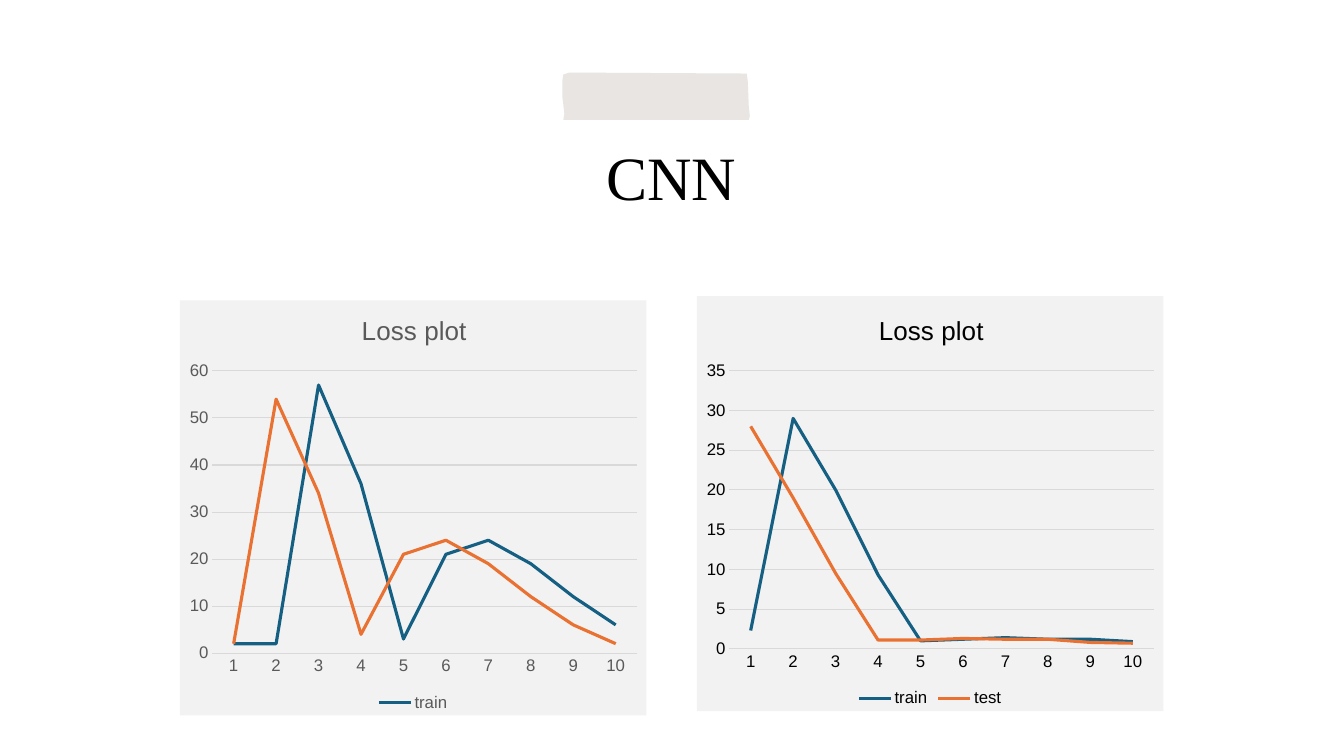
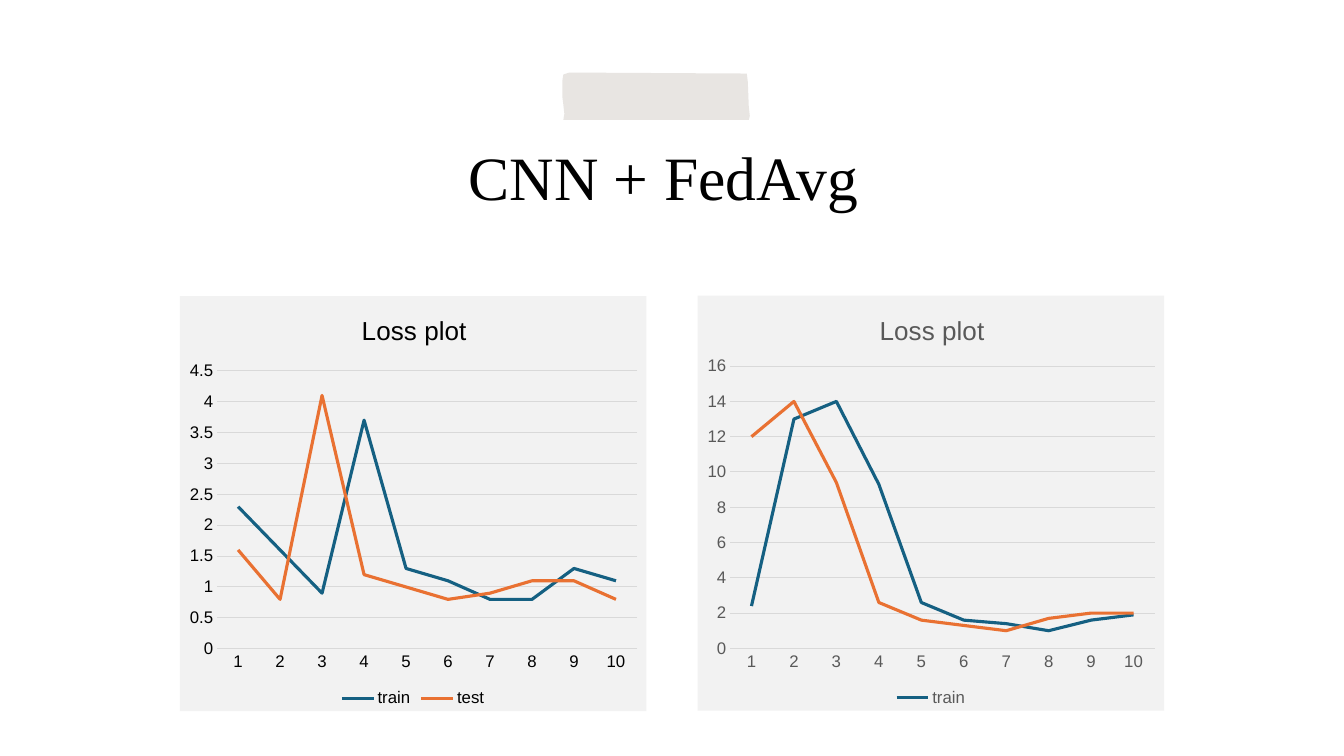
from dataclasses import dataclass
from lxml import etree
from pptx import Presentation
from pptx import util as u
from pptx.chart import data as cd
from pptx.dml.color import RGBColor as RGB
from pptx.enum import chart as ch, text
from pptx.oxml import ns, parse_xml


@dataclass
class Theme:
    serif: str = "Times New Roman"
    sans: str = "Arial"
    black: RGB = RGB(0, 0, 0)
    gray: RGB = RGB(0x59, 0x59, 0x59)
    rule: RGB = RGB(0xD9, 0xD9, 0xD9)
    tape: RGB = RGB(0xD9, 0xD4, 0xD0)
    panel: str = "F2F2F2"
    blue: RGB = RGB(0x15, 0x60, 0x82)
    orange: RGB = RGB(0xE9, 0x71, 0x32)
    head: u.Pt = u.Pt(44)
    plot: u.Pt = u.Pt(18.6)
    label: u.Pt = u.Pt(12)
    thin: u.Pt = u.Pt(0.75)
    thick: u.Pt = u.Pt(2.25)


def place(part, index, inner=False, **sizes):
    old = part.find(ns.qn("c:layout"))
    if old is not None:
        part.remove(old)
    box = etree.Element(ns.qn("c:layout"))
    manual = etree.SubElement(box, ns.qn("c:manualLayout"))
    pairs = [("layoutTarget", "inner")] if inner else []
    pairs += [("xMode", "edge"), ("yMode", "edge"), *sizes.items()]
    for name, value in pairs:
        etree.SubElement(manual, ns.qn("c:" + name)).set("val", str(value))
    part.insert(index, box)


def style(font, size, color, face):
    font.size, font.name, font.bold = size, face, False
    font.color.rgb = color


theme = Theme()
WIDE, HIGH = u.Cm(11.76), u.Cm(10.46)
TAPE = [(5.59, 0.74), (5.65, 0.72), (7.41, 0.73), (7.42, 0.81), (7.43, 1.06),
        (7.44, 1.15), (7.43, 1.19), (5.59, 1.19), (5.6, 1.13), (5.59, 1.04),
        (5.58, 0.96), (5.58, 0.91), (5.58, 0.8)]
PAGES = [
    ("CNN", [
        dict(left=4.53, top=7.57, color=theme.gray, peak=60, step=10, edge=0.07, head=0.02,
             train=[2, 2, 57, 36, 3, 21, 24, 19, 12, 6],
             test=[2, 54, 34, 4, 21, 24, 19, 12, 6, 2]),
        dict(left=17.56, top=7.46, color=theme.black, peak=35, step=5, edge=0.07, head=0.03,
             train=[2.3, 29, 20, 9.3, 1, 1.2, 1.4, 1.2, 1.2, 0.9],
             test=[28, 19, 9.5, 1.1, 1.1, 1.3, 1.2, 1.2, 0.8, 0.7]),
    ]),
    ("CNN + FedAvg ", [
        dict(left=4.53, top=7.46, color=theme.black, peak=4.5, step=0.5, edge=0.08, head=0.03,
             train=[2.3, 1.6, 0.9, 3.7, 1.3, 1.1, 0.8, 0.8, 1.3, 1.1],
             test=[1.6, 0.8, 4.1, 1.2, 1, 0.8, 0.9, 1.1, 1.1, 0.8]),
        dict(left=17.58, top=7.45, color=theme.gray, peak=16, step=2, edge=0.07, head=0.03,
             train=[2.4, 13, 14, 9.3, 2.6, 1.6, 1.4, 1, 1.6, 1.9],
             test=[12, 14, 9.4, 2.6, 1.6, 1.3, 1, 1.7, 2, 2]),
    ]),
]

deck = Presentation()
deck.slide_width, deck.slide_height = u.Cm(33.87), u.Cm(19.05)

for name, plots in PAGES:
    slide = deck.slides.add_slide(deck.slide_layouts[5])
    title = slide.shapes.title
    title.left, title.top = u.Cm(4.52), u.Cm(3.1)
    title.width, title.height = u.Cm(24.79), u.Cm(2.9)
    frame = title.text_frame
    frame.text = name
    frame.vertical_anchor = text.MSO_ANCHOR.MIDDLE
    para = frame.paragraphs[0]
    para.alignment = text.PP_ALIGN.CENTER
    para.line_spacing = 0.9
    style(para.runs[0].font, theme.head, theme.black, theme.serif)

    points = [(u.Cm(x * 2.54), u.Cm(y * 2.54)) for x, y in TAPE]
    draft = slide.shapes.build_freeform(*points[0])
    draft.add_line_segments(points[1:], close=True)
    tape = draft.convert_to_shape()
    tape.shadow.inherit = False
    tape.line.fill.background()
    tape.fill.solid()
    tape.fill.fore_color.rgb = theme.tape
    tint = tape.element.spPr.find(".//" + ns.qn("a:srgbClr"))
    etree.SubElement(tint, ns.qn("a:alpha")).set("val", "60000")

    for plot in plots:
        color = plot["color"]
        faded = color == theme.gray
        data = cd.CategoryChartData()
        data.categories = [str(n) for n in range(1, 11)]
        for key in ("train", "test"):
            data.add_series(key, plot[key])
        chart = slide.shapes.add_chart(
            ch.XL_CHART_TYPE.LINE, u.Cm(plot["left"]), u.Cm(plot["top"]),
            WIDE, HIGH, data).chart
        style(chart.font, theme.label, color, theme.sans)

        chart.has_title = True
        chart.chart_title.text_frame.text = "Loss plot"
        run = chart.chart_title.text_frame.paragraphs[0].runs[0]
        style(run.font, theme.plot, color, theme.sans)

        chart.has_legend = True
        legend = chart.legend
        legend.position = ch.XL_LEGEND_POSITION.BOTTOM
        legend.include_in_layout = False
        style(legend.font, theme.label, color, theme.sans)
        root = chart.element
        if faded:
            entry = etree.Element(ns.qn("c:legendEntry"))
            etree.SubElement(entry, ns.qn("c:idx")).set("val", "1")
            etree.SubElement(entry, ns.qn("c:delete")).set("val", "1")
            root.find(".//" + ns.qn("c:legendPos")).addnext(entry)

        for axis in (chart.category_axis, chart.value_axis):
            axis.major_tick_mark = ch.XL_TICK_MARK.NONE
            axis.minor_tick_mark = ch.XL_TICK_MARK.NONE
            style(axis.tick_labels.font, theme.label, color, theme.sans)
        values = chart.value_axis
        values.minimum_scale, values.maximum_scale = 0, plot["peak"]
        values.major_unit = plot["step"]
        values.format.line.fill.background()
        values.has_major_gridlines = True
        for line in (chart.category_axis.format.line, values.major_gridlines.format.line):
            line.color.rgb = theme.rule
            line.width = theme.thin

        chart.plots[0].vary_by_categories = False
        for row, shade in zip(chart.plots[0].series, (theme.blue, theme.orange)):
            row.smooth = False
            row.format.line.color.rgb = shade
            row.format.line.width = theme.thick

        top, tall = (0.17, 0.68) if faded else (0.18, 0.67)
        edge = plot["edge"]
        place(root.find(".//" + ns.qn("c:title")), 1, x=0.38, y=plot["head"])
        place(root.find(".//" + ns.qn("c:plotArea")), 0, True,
              x=edge, y=top, w=round(0.98 - edge, 2), h=tall)
        back = parse_xml(
            f'<c:spPr {ns.nsdecls("c", "a")}><a:solidFill><a:srgbClr val="{theme.panel}"/>'
            '</a:solidFill><a:ln><a:noFill/></a:ln></c:spPr>')
        root.find(ns.qn("c:chart")).addnext(back)

deck.save("out.pptx")
